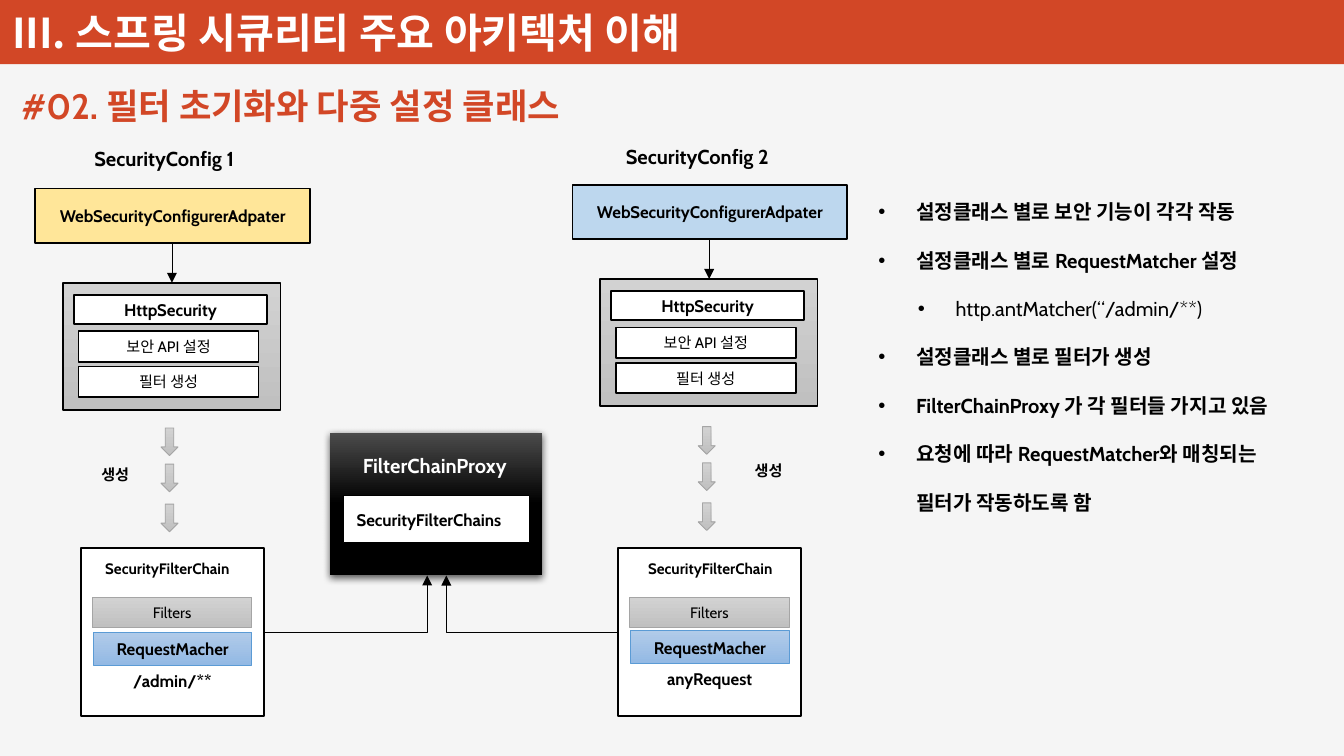
from lxml import etree
from pptx import Presentation
from pptx.dml import color
from pptx.enum import shapes, text
from pptx.oxml import ns
from pptx.util import Cm, Pt

LATIN, KOREAN = "Cabin", "Noto Sans CJK KR"
RED, BLACK, WHITE = "D24726", "000000", "FFFFFF"
GRAY, BLUE = ("D2D2D2", "C0C0C0"), ("B1CBE9", "93B9E4")
LEFT, MID = text.PP_ALIGN.LEFT, text.PP_ALIGN.CENTER
STEP = 11.28  # distance between the two configuration columns
RULES = [
    ("설정클래스 별로 보안 기능이 각각 작동", 0),
    ("설정클래스 별로 RequestMatcher 설정", 0),
    ("http.antMatcher(“/admin/**)", 1),
    ("설정클래스 별로 필터가 생성", 0),
    ("FilterChainProxy 가 각 필터들 가지고 있음", 0),
    ("요청에 따라 RequestMatcher와 매칭되는 필터가 작동하도록 함", 0),
]


def rgb(tone):
    return color.RGBColor.from_string(tone)


def add(parent, tag, **attrs):
    return etree.SubElement(parent, ns.qn(tag), attrs)


def place(shape, x, y, w, h):
    shape.left, shape.top, shape.width, shape.height = map(Cm, (x, y, w, h))


def write(para, words, size=10, tone=BLACK, bold=True, align=MID, font=LATIN):
    para.alignment = align
    run = para.add_run()
    run.text = words
    run.font.size, run.font.bold = Pt(size), bold
    run.font.color.rgb = rgb(tone)
    run.font.name = font
    add(run.font._element, "a:ea", typeface=KOREAN)


def shade(shape, fill, end=1):
    """Fill with one colour, or with a pair from top to bottom."""
    if isinstance(fill, str):
        shape.fill.solid()
        shape.fill.fore_color.rgb = rgb(fill)
        return
    shape.fill.gradient()
    shape.fill.gradient_angle = 270
    for stop, tone, pos in zip(shape.fill.gradient_stops, fill, (0, end)):
        stop.color.rgb, stop.position = rgb(tone), pos


def box(slide, x, y, w, h, fill=WHITE, line=BLACK, wide=1, words="",
        kind=shapes.MSO_SHAPE.RECTANGLE, end=1, **fmt):
    shape = slide.shapes.add_shape(kind, Cm(x), Cm(y), Cm(w), Cm(h))
    shape.shadow.inherit = False
    shade(shape, fill, end)
    if line:
        shape.line.color.rgb, shape.line.width = rgb(line), Pt(wide)
    else:
        shape.line.fill.background()
    if words:
        shape.text_frame.vertical_anchor = text.MSO_ANCHOR.MIDDLE
        write(shape.text_frame.paragraphs[0], words, **fmt)
    return shape


def label(slide, x, y, w, h, words, **fmt):
    frame = slide.shapes.add_textbox(Cm(x), Cm(y), Cm(w), Cm(h)).text_frame
    frame.word_wrap = False
    write(frame.paragraphs[0], words, **fmt)


def arrow(slide, x, y, to_x, to_y, kind=shapes.MSO_CONNECTOR.STRAIGHT):
    link = slide.shapes.add_connector(kind, Cm(x), Cm(y), Cm(to_x), Cm(to_y))
    link.line.color.rgb, link.line.width = rgb(BLACK), Pt(0.5)
    add(link.line._get_or_add_ln(), "a:tailEnd", type="triangle")
    add(link._element.spPr, "a:effectLst")
    return link._element.spPr


def elbow(slide, x, y, to_x, to_y, turn=False):
    """Arrow with one corner; turn draws it from the far end by half a turn."""
    ends = (to_x, to_y, x, y) if turn else (x, y, to_x, to_y)
    props = arrow(slide, *ends, shapes.MSO_CONNECTOR.ELBOW)
    props.find(ns.qn("a:prstGeom")).set("prst", "bentConnector2")
    if turn:
        props.find(ns.qn("a:xfrm")).set("rot", "10800000")


def heads(slide):
    title = slide.shapes.title
    place(title, 0, 0, 28.22, 1.35)
    shade(title, RED)
    frame = title.text_frame
    frame.vertical_anchor = text.MSO_ANCHOR.BOTTOM
    frame.margin_top, frame.margin_bottom = Cm(0), Cm(0.15)
    write(frame.paragraphs[0], "III. 스프링 시큐리티 주요 아키텍처 이해",
          size=24.5, tone=WHITE, align=LEFT, font=KOREAN)
    label(slide, 0.2, 1.65, 12.78, 1.14, "#02. 필터 초기화와 다중 설정 클래스",
          size=21, tone=RED, align=LEFT)


def rules(slide):
    body = slide.placeholders[1]
    place(body, 18.19, 3.56, 9.58, 7.44)
    frame = body.text_frame
    frame.auto_size = text.MSO_AUTO_SIZE.NONE
    for i, (words, level) in enumerate(RULES):
        para = frame.add_paragraph() if i else frame.paragraphs[0]
        para.level, para.line_spacing, para.space_before = level, 2.0, Pt(0)
        write(para, words, size=12, bold=not level, align=LEFT)
        props = para._p.get_or_add_pPr()
        props.set("marL", str(Cm(0.79 + 0.83 * level)))
        props.set("indent", str(Cm(-0.79)))
        add(props, "a:buFont", typeface="Arial")
        add(props, "a:buChar", char="•")


def proxy(slide):
    base = box(slide, 6.93, 9.09, 4.45, 3, ("4B4B4B", BLACK), None, end=0.5)
    glow = add(base._element.spPr.find(ns.qn("a:effectLst")), "a:outerShdw",
               blurRad="57150", dist="19050", dir="5400000",
               algn="ctr", rotWithShape="0")
    add(add(glow, "a:srgbClr", val=BLACK), "a:alpha", val="63000")
    label(slide, 7.21, 9.4, 3.84, 0.76, "FilterChainProxy", size=12, tone=WHITE)
    box(slide, 7.21, 10.41, 3.91, 0.99)
    label(slide, 7.24, 10.59, 3.84, 0.69, "SecurityFilterChains", align=LEFT)


def config(slide, x, lift, name, fill, match, made, shift):
    """One column; lift raises its upper part, shift moves its chain label."""
    label(slide, x + 1.73 - shift, 2.95 - lift / 2, 3.84, 0.76, name,
          size=12, align=LEFT)
    box(slide, x + 0.74, 3.96 - lift, 5.77, 1.14, fill,
        words="WebSecurityConfigurerAdpater")
    box(slide, x + 1.32, 5.94 - lift, 4.57, 2.67, GRAY)
    arrow(slide, x + 3.61, 5.1 - lift, x + 3.61, 5.94 - lift)
    box(slide, x + 1.55, 6.2 - lift, 4.06, 0.61, words="HttpSecurity")
    for i, words in enumerate(("보안 API 설정", "필터 생성")):
        box(slide, x + 1.65, 6.96 + 0.74 * i - lift, 3.78, 0.64,
            words=words, size=9, bold=False)
    for y in (8.99, 9.75, 10.59):
        box(slide, x + 3.38, y - lift / 3, 0.36, 0.58, GRAY, "A5A5A5", 0.5,
            kind=shapes.MSO_SHAPE.DOWN_ARROW)
    label(slide, made, 9.65 - lift, 1.24, 0.64, "생성", size=9)
    box(slide, x + 1.7, 11.51, 3.84, 3.53)
    label(slide, x + 1.96 + shift, 11.63, 3.35, 0.64, "SecurityFilterChain",
          size=9, align=LEFT)
    box(slide, x + 1.94, 12.55, 3.35, 0.64, GRAY, "A5A5A5", 0.5,
        words="Filters", size=9, bold=False)
    box(slide, x + 1.96, 13.28 - lift / 3, 3.33, 0.69, BLUE, "5B9BD5", 0.5,
        words="RequestMacher")
    label(slide, x + 2.35, 13.97 - lift / 2, 2.54, 0.69, match)


def main():
    deck = Presentation()
    deck.slide_width, deck.slide_height = Cm(28.22), Cm(15.88)
    slide = deck.slides.add_slide(deck.slide_layouts[1])
    for part in list(slide.placeholders)[2:]:
        part._element.getparent().remove(part._element)
    shade(slide.background, "F5F5F5")
    heads(slide)
    rules(slide)
    elbow(slide, 5.33, 13.28, 8.97, 12.09)
    elbow(slide, 13.21, 13.28, 9.37, 12.09, turn=True)
    proxy(slide)
    config(slide, 0, 0, "SecurityConfig 1", "FFE699", "/admin/**", 1.8, 0)
    config(slide, STEP, 0.08, "SecurityConfig 2", "BDD7EE", "anyRequest",
           15.52, 0.12)
    deck.save("out.pptx")


if __name__ == "__main__":
    main()
